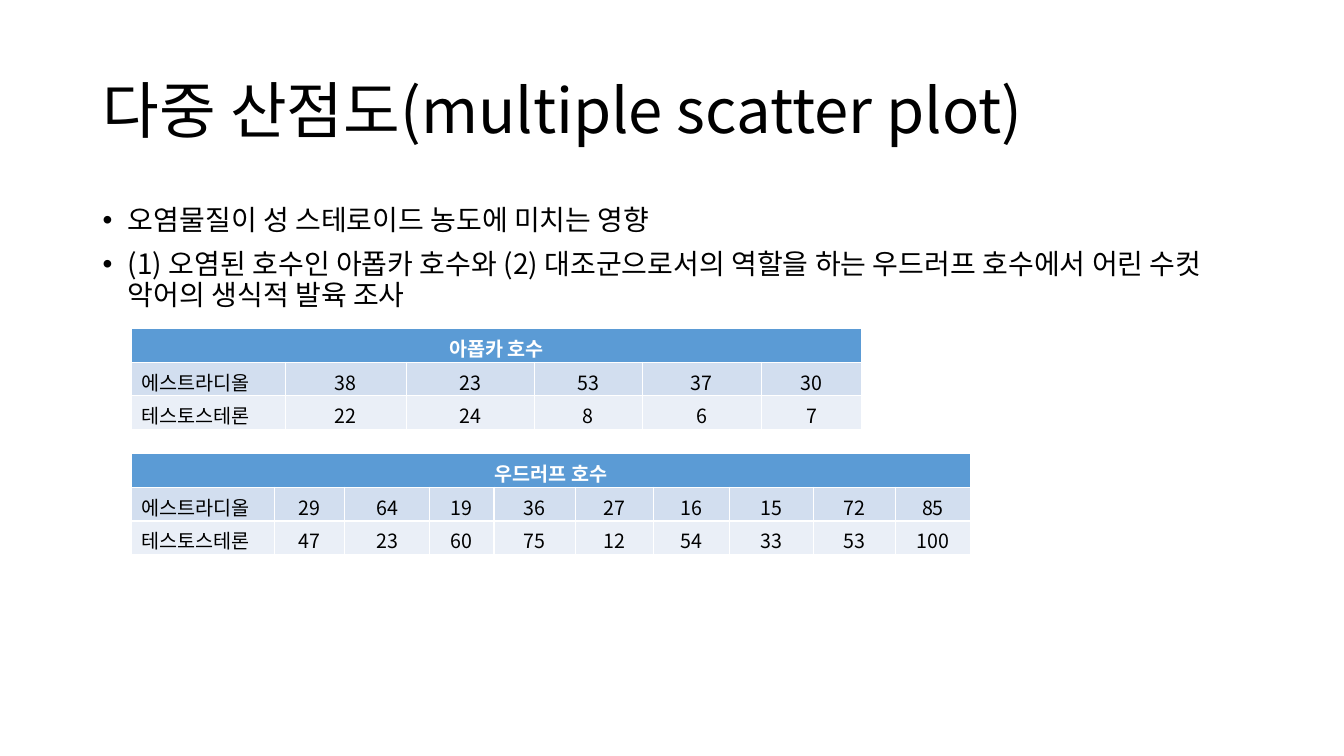
from lxml.etree import SubElement
from pptx import Presentation
from pptx.dml.color import RGBColor
from pptx.enum.text import MSO_ANCHOR as Anchor, PP_ALIGN as Align
from pptx.oxml.ns import qn
from pptx.util import Inches, Pt

FONT = "Noto Sans CJK KR"
BLACK = RGBColor(0x00, 0x00, 0x00)
WHITE = RGBColor(0xFF, 0xFF, 0xFF)
BLUE = RGBColor(0x5B, 0x9B, 0xD5)
BANDS = [RGBColor(0xD2, 0xDE, 0xEF), RGBColor(0xEA, 0xEF, 0xF7)]

TITLE = "다중 산점도(multiple scatter plot)"
POINTS = [
    "오염물질이 성 스테로이드 농도에 미치는 영향",
    "(1) 오염된 호수인 아폽카 호수와 (2) 대조군으로서의 역할을 하는 "
    "우드러프 호수에서 어린 수컷 악어의 생식적 발육 조사",
]
LABELS = ["에스트라디올", "테스토스테론"]
LAKES = [
    {
        "name": "아폽카 호수",
        "top": 3.26,
        "row": 0.32,
        "cols": [1.53, 1.2, 1.27, 1.07, 1.18, 1],
        "data": [[38, 23, 53, 37, 30], [22, 24, 8, 6, 7]],
    },
    {
        "name": "우드러프 호수",
        "top": 4.5,
        "row": 0.28,
        "cols": [1.42, 0.7, 0.84, 0.64, 0.81, 0.77, 0.76, 0.83, 0.81, 0.75],
        "data": [
            [29, 64, 19, 36, 27, 16, 15, 72, 85],
            [47, 23, 60, 75, 12, 54, 33, 53, 100],
        ],
    },
]
LEFT, WIDTH = 0.92, 11.5
TABLE_LEFT = 1.3


def style(para, size, color=BLACK, bold=False, align=Align.LEFT):
    para.alignment = align
    for run in para.runs:
        font = run.font
        font.name, font.size, font.bold = FONT, Pt(size), bold
        font.color.rgb = color
        SubElement(font._element, qn("a:ea"), typeface=FONT)


def bullet(para):
    props = para._p.get_or_add_pPr()
    props.set("marL", str(Inches(0.25)))
    props.set("indent", str(Inches(-0.25)))
    SubElement(props, qn("a:buFont"), typeface="Arial")
    SubElement(props, qn("a:buChar"), char="•")


def fill_cell(cell, text, fill, **look):
    cell.text_frame.text = str(text)
    style(cell.text_frame.paragraphs[0], 14, **look)
    cell.fill.solid()
    cell.fill.fore_color.rgb = fill


def add_title(slide):
    title = slide.shapes.title
    title.left, title.top = Inches(LEFT), Inches(0.4)
    title.width, title.height = Inches(WIDTH), Inches(1.45)
    frame = title.text_frame
    frame.text = TITLE
    frame.vertical_anchor = Anchor.MIDDLE
    frame.paragraphs[0].line_spacing = 0.9
    style(frame.paragraphs[0], 44)


def add_points(slide):
    box = slide.shapes.add_textbox(Inches(LEFT), Inches(2), Inches(WIDTH), Inches(4.76))
    frame = box.text_frame
    frame.word_wrap = True
    frame.text = "\n".join(POINTS)
    for para in frame.paragraphs:
        para.line_spacing = 0.9
        para.space_before = Pt(10)
        style(para, 20)
        bullet(para)


def add_lake(slide, lake):
    cols, data = lake["cols"], lake["data"]
    count = len(data) + 1
    table = slide.shapes.add_table(
        count, len(cols), Inches(TABLE_LEFT), Inches(lake["top"]),
        Inches(sum(cols)), Inches(lake["row"] * count),
    ).table
    for col, width in zip(table.columns, cols):
        col.width = Inches(width)
    head = table.cell(0, 0)
    head.merge(table.cell(0, len(cols) - 1))
    fill_cell(head, lake["name"], BLUE, color=WHITE, bold=True, align=Align.CENTER)
    for r, (label, values) in enumerate(zip(LABELS, data)):
        for c, text in enumerate([label, *values]):
            align = Align.CENTER if c else Align.LEFT
            fill_cell(table.cell(r + 1, c), text, BANDS[r], align=align)


def main():
    deck = Presentation()
    deck.slide_width, deck.slide_height = Inches(13.33), Inches(7.5)
    slide = deck.slides.add_slide(deck.slide_layouts[5])
    add_title(slide)
    add_points(slide)
    for lake in LAKES:
        add_lake(slide, lake)
    deck.save("out.pptx")


if __name__ == "__main__":
    main()
